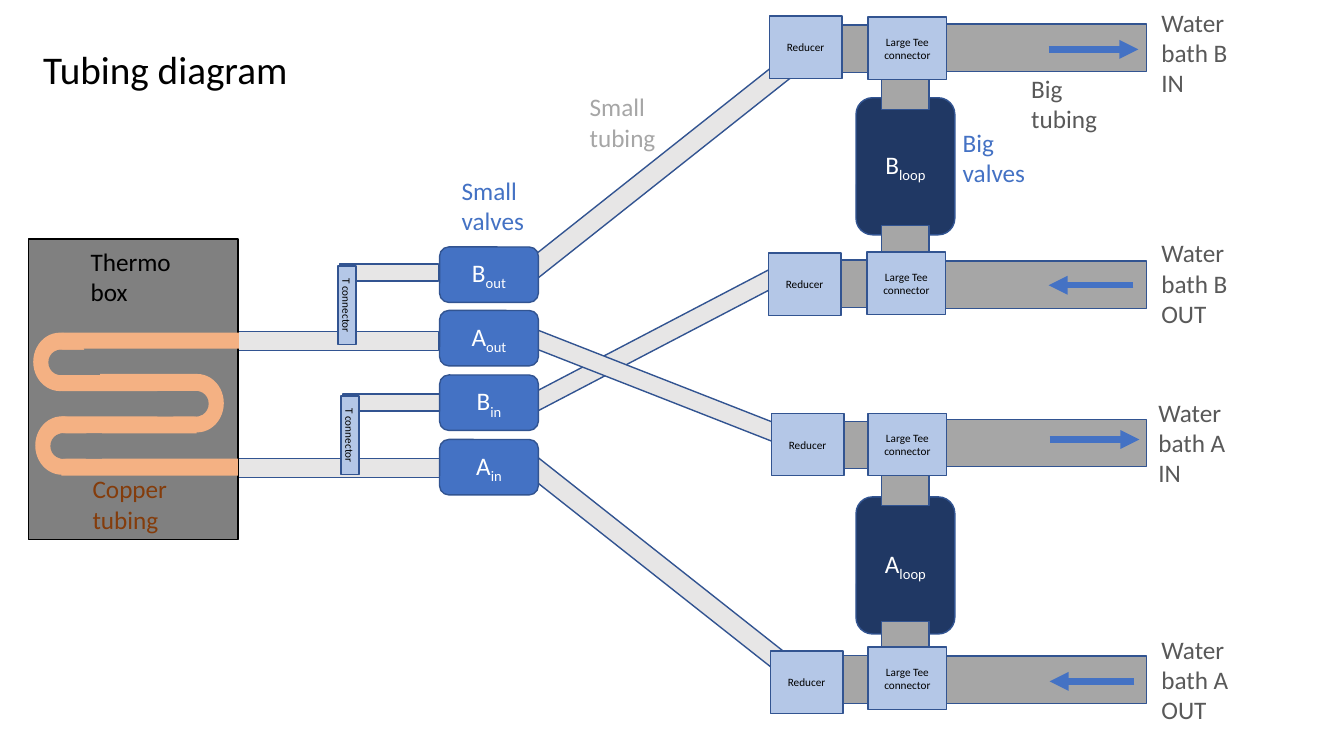
import dataclasses
import typing

import lxml.etree
import pptx
import pptx.dml.color
import pptx.enum.shapes
import pptx.enum.text
import pptx.oxml.ns
import pptx.util

PX = 9144
COLORS = {
    "black": "000000", "white": "FFFFFF", "outline": "325491", "valve": "4472C4",
    "loop": "203864", "small_tube": "E7E6E6", "big_tube": "A6A6A6",
    "fitting": "B4C7E7", "box": "808080", "copper": "F4B183",
    "copper_text": "843C0B", "dark_text": "595959",
}
SHAPES = pptx.enum.shapes.MSO_SHAPE
ALIGN = pptx.enum.text.PP_ALIGN
ANCHOR = pptx.enum.text.MSO_ANCHOR


@dataclasses.dataclass(frozen=True)
class Frame:
    left: int
    top: int
    width: int
    height: int
    rotation: float = 0


@dataclasses.dataclass(frozen=True)
class Valve:
    frame: Frame
    letter: str
    subscript: str
    fill: str


@dataclasses.dataclass(frozen=True)
class Label:
    text: str
    frame: Frame
    color: str
    size: int = 18


@dataclasses.dataclass(frozen=True)
class Circuit:
    tube_top: int
    elbow_top: int
    link: Frame
    tee: tuple[int, int]
    reducer: tuple[int, int]
    arrow: tuple[int, int, int]


@dataclasses.dataclass(frozen=True)
class Bend:
    left: int
    top: int
    opens_left: bool


SMALL_TUBES = [
    Frame(478, 147, 379, 20, 321.6),
    Frame(505, 330, 281, 18, 332.4),
    Frame(515, 376, 281, 18, 21.4),
    Frame(475, 560, 379, 20, 38.3),
    Frame(228, 455, 210, 19),
    Frame(340, 391, 98, 17),
    Frame(225, 329, 210, 19),
    Frame(337, 262, 98, 17),
]
T_CONNECTORS = [Frame(308, 423, 78, 18, 90), Frame(305, 294, 78, 18, 90)]
LOOPS = [
    Valve(Frame(849, top, 98, 136), letter, "loop", "loop")
    for letter, top in (("B", 97), ("A", 493))
]
SMALL_VALVES = [
    Valve(Frame(436, top, 98, 55), letter, subscript, "valve")
    for letter, subscript, top in (
        ("B", "out", 245), ("A", "out", 308), ("B", "in", 372), ("A", "in", 436))
]
CIRCUITS = [
    Circuit(24, 67, Frame(797, 25, 65, 47), (861, 17), (763, 16), (1040, 1129, 49)),
    Circuit(259, 218, Frame(780, 258, 86, 47), (860, 250), (762, 251), (1124, 1040, 283)),
    Circuit(416, 460, Frame(776, 418, 86, 47), (861, 410), (765, 410), (1041, 1130, 436)),
    Circuit(651, 611, Frame(790, 650, 72, 48), (861, 642), (764, 646), (1125, 1041, 676)),
]
COPPER_TUBES = [
    Frame(61, 330, 176, 16),
    Frame(61, 371, 134, 17),
    Frame(61, 413, 134, 17),
    Frame(61, 455, 175, 17),
]
BENDS = [Bend(169, 371, True), Bend(35, 413, False), Bend(33, 330, False)]
LABELS = [
    Label("Tubing diagram", Frame(33, 40, 483, 57), "black", 28),
    Label("Small valves", Frame(448, 169, 86, 71), "valve"),
    Label("Big valves", Frame(945, 121, 86, 71), "valve"),
    Label("Small tubing", Frame(575, 86, 86, 71), "big_tube"),
    Label("Big tubing", Frame(1013, 68, 86, 71), "dark_text"),
    Label("Water bath B IN", Frame(1142, 2, 86, 101), "dark_text"),
    Label("Water bath B OUT", Frame(1142, 231, 86, 101), "dark_text"),
    Label("Water bath A IN", Frame(1139, 389, 92, 101), "dark_text"),
    Label("Water bath A OUT", Frame(1142, 624, 98, 101), "dark_text"),
    Label("Thermo box", Frame(80, 239, 117, 71), "black"),
    Label("Copper tubing", Frame(82, 465, 117, 71), "copper_text"),
]


def rgb(name: str) -> pptx.dml.color.RGBColor:
    return pptx.dml.color.RGBColor.from_string(COLORS[name])


def emu(frame: Frame) -> list[int]:
    return [length * PX for length in (frame.left, frame.top, frame.width, frame.height)]


def write_text(shape: typing.Any, text: str, *, size: int, color: str, subscript: str = "",
               align: typing.Any = ALIGN.LEFT, anchor: typing.Any = ANCHOR.TOP) -> None:
    text_frame = shape.text_frame
    text_frame.word_wrap = True
    text_frame.vertical_anchor = anchor
    paragraph = text_frame.paragraphs[0]
    paragraph.alignment = align
    for content, baseline in ((text, ""), (subscript, "-25000")):
        if not content:
            continue
        run = paragraph.add_run()
        run.text = content
        run.font.name = "Calibri"
        run.font.size = pptx.util.Pt(size)
        run.font.color.rgb = rgb(color)
        if baseline:
            run.font._element.set("baseline", baseline)


def draw_shape(shapes: typing.Any, frame: Frame, fill: str, line: str = "",
               kind: typing.Any = SHAPES.RECTANGLE) -> typing.Any:
    shape = shapes.add_shape(kind, *emu(frame))
    shape.rotation = frame.rotation
    shape.shadow.inherit = False
    shape.fill.solid()
    shape.fill.fore_color.rgb = rgb(fill)
    if line:
        shape.line.color.rgb = rgb(line)
        shape.line.width = pptx.util.Pt(1)
    else:
        shape.line.fill.background()
    return shape


def draw_fitting(shapes: typing.Any, frame: Frame, text: str) -> None:
    shape = draw_shape(shapes, frame, "fitting", "outline")
    write_text(shape, text, size=8, color="black", align=ALIGN.CENTER, anchor=ANCHOR.MIDDLE)


def draw_valve(shapes: typing.Any, valve: Valve) -> None:
    shape = draw_shape(shapes, valve.frame, valve.fill, "outline", SHAPES.ROUNDED_RECTANGLE)
    write_text(shape, valve.letter, subscript=valve.subscript, size=18, color="white",
               align=ALIGN.CENTER, anchor=ANCHOR.MIDDLE)


def draw_arrow(shapes: typing.Any, start: int, end: int, y: int) -> None:
    arrow = shapes.add_connector(pptx.enum.shapes.MSO_CONNECTOR.STRAIGHT,
                                 start * PX, y * PX, end * PX, y * PX)
    arrow.line.color.rgb = rgb("valve")
    arrow.line.width = pptx.util.Pt(4.5)
    qn = pptx.oxml.ns.qn
    lxml.etree.SubElement(arrow.line._get_or_add_ln(), qn("a:tailEnd"), type="triangle")
    lxml.etree.SubElement(arrow._element.spPr, qn("a:effectLst"))


def draw_circuit(shapes: typing.Any, circuit: Circuit) -> None:
    for frame in (Frame(938, circuit.tube_top, 199, 47),
                  Frame(880, circuit.elbow_top, 36, 47, 90), circuit.link):
        draw_shape(shapes, frame, "big_tube", "outline")
    draw_fitting(shapes, Frame(*circuit.tee, 78, 62), "Large Tee connector")
    draw_fitting(shapes, Frame(*circuit.reducer, 72, 62), "Reducer")
    draw_arrow(shapes, *circuit.arrow)


def draw_bend(shapes: typing.Any, bend: Bend) -> None:
    group = shapes.add_group_shape()
    for offset, top, width, height, fill, kind in (
            (0, 0, 53, 58, "copper", SHAPES.OVAL),
            (14, 17, 24, 25, "box", SHAPES.OVAL),
            (-13, 17, 41, 25, "box", SHAPES.RECTANGLE)):
        shift = offset if bend.opens_left else 53 - offset - width
        frame = Frame(bend.left + shift, bend.top + top, width, height)
        draw_shape(group.shapes, frame, fill, kind=kind)


def draw_label(shapes: typing.Any, label: Label) -> None:
    box = shapes.add_textbox(*emu(label.frame))
    write_text(box, label.text, size=label.size, color=label.color)
    box.text_frame.auto_size = pptx.enum.text.MSO_AUTO_SIZE.SHAPE_TO_FIT_TEXT


def main() -> None:
    presentation = pptx.Presentation()
    presentation.slide_width = 1333 * PX
    presentation.slide_height = 750 * PX
    shapes = presentation.slides.add_slide(presentation.slide_layouts[6]).shapes
    for tube in SMALL_TUBES:
        draw_shape(shapes, tube, "small_tube", "outline")
    for valve in LOOPS + SMALL_VALVES:
        draw_valve(shapes, valve)
    for frame in T_CONNECTORS:
        draw_fitting(shapes, frame, "T connector")
    draw_shape(shapes, Frame(28, 237, 208, 298), "box", "black")
    for circuit in CIRCUITS:
        draw_circuit(shapes, circuit)
    for tube in COPPER_TUBES:
        draw_shape(shapes, tube, "copper")
    for bend in BENDS:
        draw_bend(shapes, bend)
    for label in LABELS:
        draw_label(shapes, label)
    presentation.save("out.pptx")


if __name__ == "__main__":
    main()
